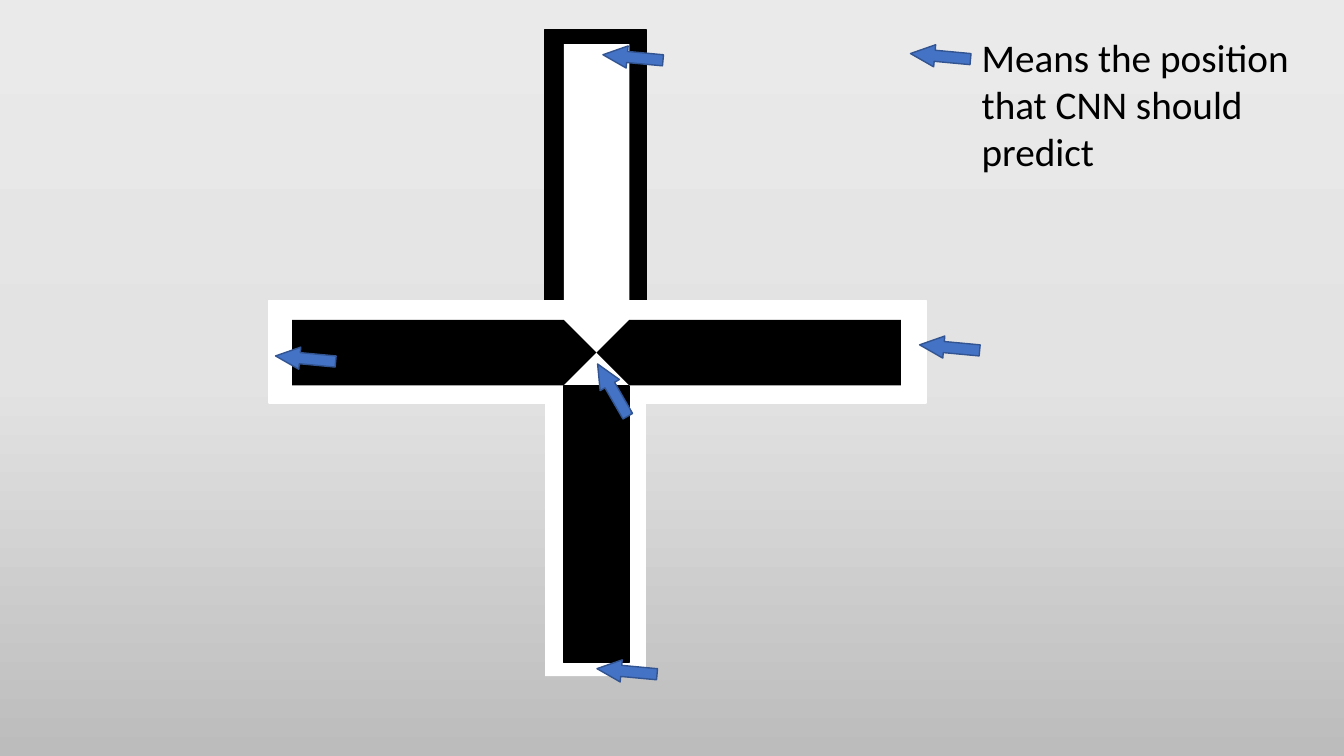
from copy import deepcopy

from pptx import Presentation
from pptx.dml.color import RGBColor
from pptx.enum.shapes import MSO_SHAPE
from pptx.util import Cm, Pt

BLACK, WHITE, BLUE, NAVY = "000000", "FFFFFF", "4472C4", "325491"
PLATE_LENGTH, BAR_WIDTH = 7.67, 1.65
FRAME_WIDTH = 2.54


def rgb(value):
    return RGBColor.from_string(value)


def add_block(s, kind, left, top, width, height, fill, line=None, rotation=0):
    sp = s.shapes.add_shape(kind, Cm(left), Cm(top), Cm(width), Cm(height))
    sp.shadow.inherit = False
    sp.rotation = rotation
    sp.fill.solid()
    sp.fill.fore_color.rgb = rgb(fill)
    if line:
        sp.line.color.rgb = rgb(line)
        sp.line.width = Pt(1)
    else:
        sp.line.fill.background()
    return sp


def add_arrow(s, left, top, rotation=95.3):
    sp = add_block(s, MSO_SHAPE.DOWN_ARROW, left, top, 0.56, 1.52, BLUE, NAVY, rotation)
    sp.adjustments[0] = 0.5
    sp.adjustments[1] = 1.094


def add_background(s):
    fill = s.background.fill
    fill.gradient()
    fill.gradient_angle = 270
    first = fill.gradient_stops[0]._gs
    first.addnext(deepcopy(first))
    stops = zip(fill.gradient_stops, (0, 0.5, 1), ("EBEAEA", "E4E3E3", "BDBCBC"))
    for stop, position, color in stops:
        stop.position = position
        stop.color.rgb = rgb(color)


def add_cross(s, left, top):
    rect, plate = MSO_SHAPE.RECTANGLE, MSO_SHAPE.PENTAGON
    blocks = [
        (rect, 6.96, 0, FRAME_WIDTH, 6.83, BLACK, BLACK, 0),
        (rect, 0, 6.83, 16.56, 2.59, WHITE, WHITE, 0),
        (plate, 0.58, 7.32, PLATE_LENGTH, BAR_WIDTH, BLACK, None, 0),
        (plate, 0.58 + PLATE_LENGTH, 7.32, PLATE_LENGTH, BAR_WIDTH, BLACK, None, 180),
        (plate, 4.42, 3.38, PLATE_LENGTH, BAR_WIDTH, WHITE, None, 90),
        (rect, 6.96, 9.42, FRAME_WIDTH, 6.88, WHITE, None, 0),
        (rect, 7.42, 8.99, BAR_WIDTH, 6.96, BLACK, BLACK, 0),
    ]
    for kind, x, y, *rest in blocks:
        add_block(s, kind, left + x, top + y, *rest)
    for x, y in [(8.89, -0.05), (16.87, 7.26), (8.74, 15.42), (0.64, 7.54)]:
        add_arrow(s, left + x, top + y)
    add_arrow(s, left + 8.38, top + 8.33, 150)


def add_legend(s, left, top):
    add_arrow(s, left, top)
    tf = s.shapes.add_textbox(Cm(left + 1.07), Cm(top + 0.05), Cm(9.25), Cm(3.84)).text_frame
    tf.word_wrap = True
    tf.text = "Means the position\nthat CNN should predict"
    for p in tf.paragraphs:
        for r in p.runs:
            r.font.name = "Calibri"
            r.font.size = Pt(28)
            r.font.color.rgb = rgb(BLACK)


def main():
    prs = Presentation()
    prs.slide_width, prs.slide_height = Cm(33.87), Cm(19.05)
    s = prs.slides.add_slide(prs.slide_layouts[6])
    add_background(s)
    add_cross(s, 6.78, 0.74)
    add_legend(s, 23.42, 0.66)
    prs.save("out.pptx")


if __name__ == "__main__":
    main()
